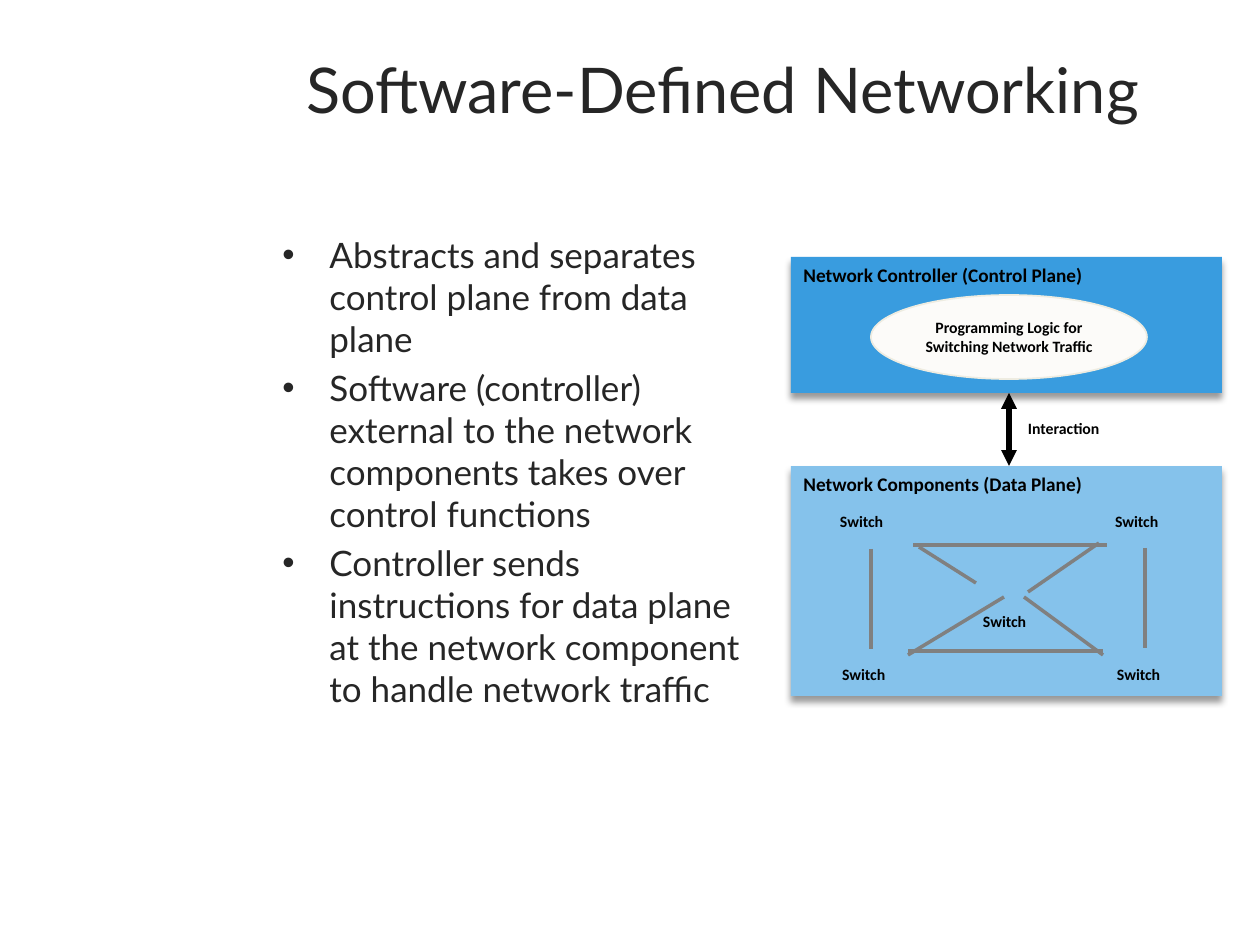
from lxml import etree
from pptx import Presentation
from pptx.dml.color import RGBColor
from pptx.enum.shapes import MSO_CONNECTOR, MSO_SHAPE
from pptx.enum.text import MSO_ANCHOR, MSO_AUTO_SIZE, PP_ALIGN
from pptx.oxml.ns import qn
from pptx.util import Emu, Pt

EMU_PER_PX = 914400 / 126
TOP, MIDDLE = MSO_ANCHOR.TOP, MSO_ANCHOR.MIDDLE
LEFT, CENTER = PP_ALIGN.LEFT, PP_ALIGN.CENTER
RECTANGLE, OVAL = MSO_SHAPE.RECTANGLE, MSO_SHAPE.OVAL
STRAIGHT = MSO_CONNECTOR.STRAIGHT

COLORS = {
    "text": "262626",
    "black": "000000",
    "link": "808080",
    "controller": "399CDF",
    "components": "85C2EB",
    "logic": "FCFBF9",
    "logic_edge": "EEECE1",
}


def px(*lengths):
    return [Emu(round(length * EMU_PER_PX)) for length in lengths]


def color(name):
    return RGBColor.from_string(COLORS[name])


def add_child(parent, tag, **attributes):
    return etree.SubElement(parent, qn(tag), attributes)


def write(paragraph, text, *, size, font="Calibri", fill="black", bold=False,
          align=LEFT, spacing=None):
    paragraph.alignment = align
    if spacing:
        paragraph.line_spacing = spacing
    run = paragraph.add_run()
    run.text = text
    run.font.size = Pt(size)
    run.font.name = font
    run.font.bold = bold
    run.font.color.rgb = color(fill)


class SlideBuilder:
    """Holds the current slide and the shared heading and label styles."""

    heading = {"size": 11, "bold": True}
    label_style = {"size": 9, "bold": True}
    prose = {"font": "Lato", "fill": "text"}

    def __init__(self, slide):
        self.slide = slide

    def title(self, text, *box):
        title = self.slide.shapes.title
        title.left, title.top, title.width, title.height = px(*box)
        title.text_frame.vertical_anchor = TOP
        write(title.text_frame.paragraphs[0], text, size=36, align=CENTER,
              **self.prose)

    def bullets(self, items, *box, indent=47):
        frame = self.slide.shapes.add_textbox(*px(*box)).text_frame
        frame.word_wrap = True
        hanging = px(indent)[0]
        for index, item in enumerate(items):
            paragraph = frame.add_paragraph() if index else frame.paragraphs[0]
            properties = paragraph._p.get_or_add_pPr()
            properties.set("marL", str(hanging))
            properties.set("indent", str(-hanging))
            add_child(properties, "a:buFont", typeface="Arial")
            add_child(properties, "a:buChar", char="•")
            if index:
                paragraph.space_before = Pt(4)
            write(paragraph, item, size=20, **self.prose)

    def shape(self, kind, text, *box, fill, anchor, **text_format):
        shape = self.slide.shapes.add_shape(kind, *px(*box))
        shape.shadow.inherit = False
        shape.fill.solid()
        shape.fill.fore_color.rgb = color(fill)
        shape.text_frame.word_wrap = True
        shape.text_frame.vertical_anchor = anchor
        write(shape.text_frame.paragraphs[0], text, **text_format)
        return shape

    def plane(self, text, *box, fill):
        plane = self.shape(RECTANGLE, text, *box, fill=fill, anchor=TOP,
                           **self.heading)
        plane.line.fill.background()
        effects = plane._element.spPr.find(qn("a:effectLst"))
        shadow = add_child(effects, "a:outerShdw", blurRad=str(Pt(4)),
                           dist=str(Pt(3)), dir="5400000", rotWithShape="0")
        shade = add_child(shadow, "a:srgbClr", val=COLORS["black"])
        add_child(shade, "a:alpha", val="40000")

    def ellipse(self, text, *box):
        ellipse = self.shape(OVAL, text, *box, fill="logic", anchor=MIDDLE,
                             align=CENTER, **self.label_style)
        ellipse.line.color.rgb = color("logic_edge")
        ellipse.line.width = Pt(1)

    def line(self, *ends, stroke="link", width=2, arrows=False):
        connector = self.slide.shapes.add_connector(STRAIGHT, *px(*ends))
        connector.line.color.rgb = color(stroke)
        connector.line.width = Pt(width)
        add_child(connector._element.spPr, "a:effectLst")
        if arrows:
            outline = connector.line._get_or_add_ln()
            for tag in ("a:headEnd", "a:tailEnd"):
                add_child(outline, tag, type="triangle")

    def label(self, text, left, top, width):
        frame = self.slide.shapes.add_textbox(*px(left, top, width, 16)).text_frame
        frame.margin_left = frame.margin_right = 0
        frame.margin_top = frame.margin_bottom = 0
        frame.word_wrap = False
        frame.auto_size = MSO_AUTO_SIZE.SHAPE_TO_FIT_TEXT
        write(frame.paragraphs[0], text, spacing=0.85, **self.label_style)


def main():
    presentation = Presentation()
    presentation.slide_width, presentation.slide_height = px(1260, 945)
    title_only = presentation.slide_layouts[5]
    builder = SlideBuilder(presentation.slides.add_slide(title_only))

    builder.title("Software-Defined Networking", 270, 44, 905, 147)
    builder.bullets([
        "Abstracts and separates control plane from data plane",
        "Software (controller) external to the network components takes over "
        "control functions",
        "Controller sends instructions for data plane at the network component "
        "to handle network traffic",
    ], 270, 227, 510, 649)

    builder.plane("Network Components (Data Plane)", 791, 466, 431, 230,
                  fill="components")
    builder.plane("Network Controller (Control Plane)", 791, 257, 431, 136,
                  fill="controller")
    builder.ellipse("Programming Logic for Switching Network Traffic",
                    871, 295, 276, 84)
    builder.line(1009, 393, 1009, 466, stroke="black", width=3, arrows=True)
    builder.label("Interaction", 1028, 422, 73)

    switch_links = [
        (1099, 543, 1028, 592), (919, 547, 976, 583),
        (908, 655, 1004, 597), (1024, 597, 1103, 655),
        (871, 549, 871, 649), (1145, 548, 1145, 648),
        (1103, 651, 908, 651), (1107, 545, 913, 545),
    ]
    for link in switch_links:
        builder.line(*link)

    switches = [(840, 515), (1115, 515), (983, 615), (842, 668), (1117, 668)]
    for left, top in switches:
        builder.label("Switch", left, top, 44)

    presentation.save("out.pptx")


if __name__ == "__main__":
    main()
